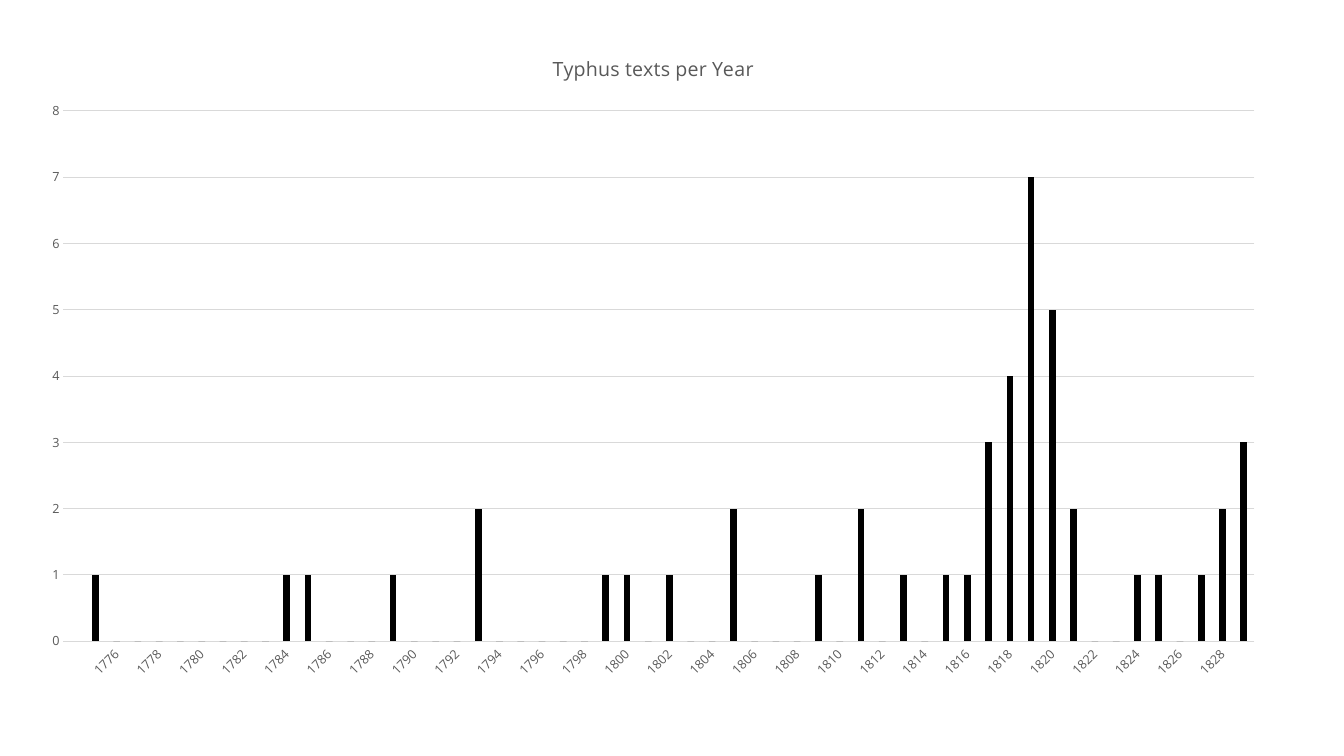
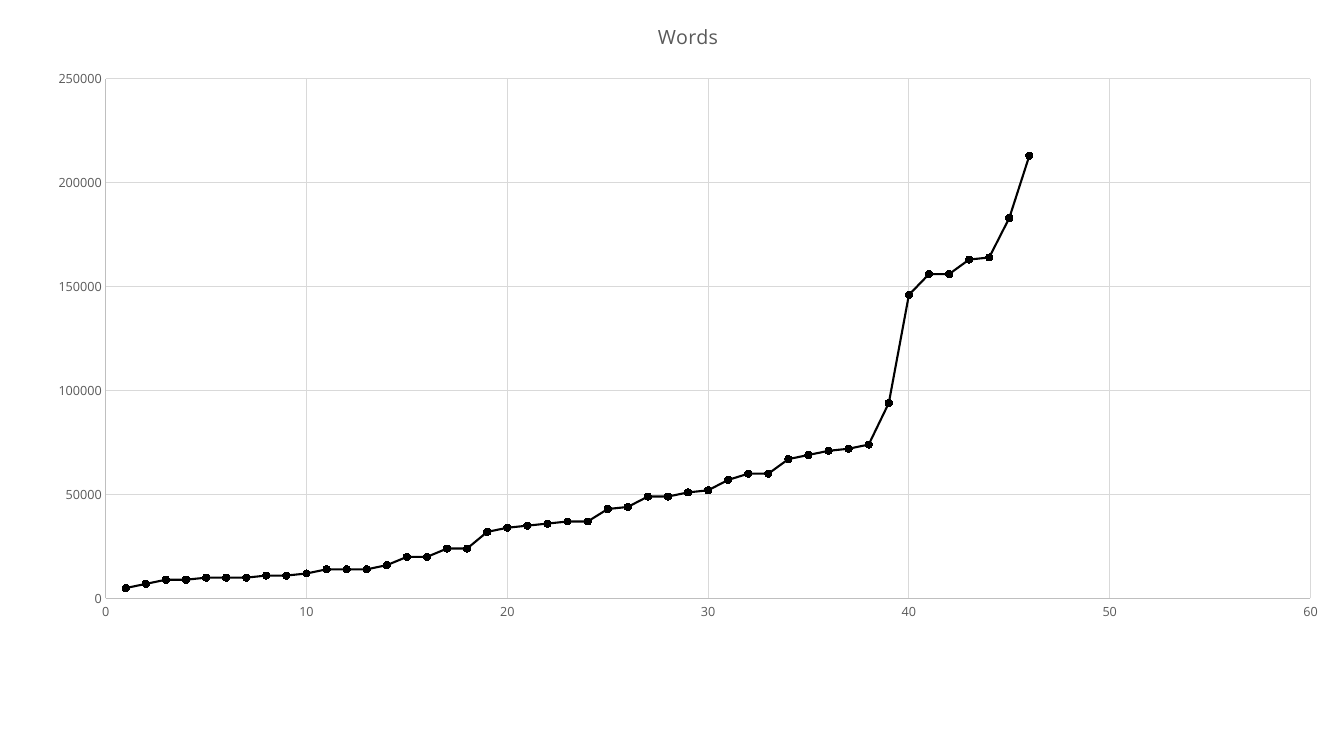
import pptx
import pptx.chart.data
import pptx.dml.color
import pptx.enum.chart
import pptx.util
from pptx.util import Inches

FONT = "Open Sans"
COLORS = {"data": "000000", "text": "595959", "grid": "D9D9D9", "axis": "BFBFBF"}

FIRST_YEAR, LAST_YEAR = 1775, 1829
TEXTS_BY_YEAR = {
    1775: 1, 1784: 1, 1785: 1, 1789: 1, 1793: 2, 1799: 1, 1800: 1, 1802: 1,
    1805: 2, 1809: 1, 1811: 2, 1813: 1, 1815: 1, 1816: 1, 1817: 3, 1818: 4,
    1819: 7, 1820: 5, 1821: 2, 1824: 1, 1825: 1, 1827: 1, 1828: 2, 1829: 3,
}
WORDS_IN_THOUSANDS = [
    5, 7, 9, 9, 10, 10, 10, 11, 11, 12, 14, 14, 14, 16, 20, 20,
    24, 24, 32, 34, 35, 36, 37, 37, 43, 44, 49, 49, 51, 52, 57, 60,
    60, 67, 69, 71, 72, 74, 94, 146, 156, 156, 163, 164, 183, 213,
]


def rgb(name):
    return pptx.dml.color.RGBColor.from_string(COLORS[name])


def style_font(font, size, color="text"):
    font.name = FONT
    font.size = pptx.util.Pt(size)
    font.bold = False
    font.color.rgb = rgb(color)


def style_line(line, color, width=0.75):
    """Draw the line in a named colour, or hide it when color is None."""
    if color is None:
        line.fill.background()
    else:
        line.color.rgb = rgb(color)
        line.width = pptx.util.Pt(width)


def fill_solid(fill):
    fill.solid()
    fill.fore_color.rgb = rgb("data")


def style_axis(axis, line, grid=True):
    no_tick = pptx.enum.chart.XL_TICK_MARK.NONE
    axis.major_tick_mark = axis.minor_tick_mark = no_tick
    style_font(axis.tick_labels.font, 9)
    style_line(axis.format.line, line)
    axis.has_major_gridlines = grid
    if grid:
        style_line(axis.major_gridlines.format.line, "grid")


def scale_axis(axis, maximum, step):
    axis.minimum_scale = 0
    axis.maximum_scale = maximum
    axis.major_unit = step


def slant_labels(axis, degrees):
    body = axis.tick_labels.font and axis._element.txPr.bodyPr
    body.set("rot", str(degrees * 60000))
    body.set("vert", "horz")


def add_chart_slide(prs, kind, box, data, title):
    s = prs.slides.add_slide(prs.slide_layouts[6])
    chart = s.shapes.add_chart(kind, *map(Inches, box), data).chart
    style_font(chart.font, 10, "data")
    chart.has_legend = False
    chart.has_title = True
    tf = chart.chart_title.text_frame
    tf.text = title
    style_font(tf.paragraphs[0].runs[0].font, 14)
    chart.chart_title.include_in_layout = False
    return chart


def add_texts_per_year(prs):
    years = range(FIRST_YEAR, LAST_YEAR + 1)
    data = pptx.chart.data.CategoryChartData()
    data.categories = [""] + [str(year) for year in years]
    data.add_series("Series 1", [None] + [TEXTS_BY_YEAR.get(year, 0) for year in years])
    chart = add_chart_slide(prs, pptx.enum.chart.XL_CHART_TYPE.COLUMN_CLUSTERED,
                            (0.27, 0.31, 12.42, 6.55), data, "Typhus texts per Year")
    style_axis(chart.category_axis, "grid", grid=False)
    slant_labels(chart.category_axis, -45)
    style_axis(chart.value_axis, None)
    scale_axis(chart.value_axis, 8, 1)
    plot = chart.plots[0]
    plot.vary_by_categories = False
    plot.gap_width = 219
    plot.overlap = -27
    fill_solid(plot.series[0].format.fill)


def add_words(prs):
    data = pptx.chart.data.XyChartData()
    points = data.add_series("Words")
    for rank, thousands in enumerate(WORDS_IN_THOUSANDS, 1):
        points.add_data_point(rank, thousands * 1000)
    chart = add_chart_slide(prs, pptx.enum.chart.XL_CHART_TYPE.XY_SCATTER_LINES,
                            (0.32, 0, 13.01, 6.28), data, "Words")
    for axis, maximum, step in ((chart.category_axis, 60, 10),
                                (chart.value_axis, 250000, 50000)):
        style_axis(axis, "axis")
        scale_axis(axis, maximum, step)
    chart.plots[0].vary_by_categories = False
    series = chart.plots[0].series[0]
    series.smooth = False
    style_line(series.format.line, "data", 1.5)
    series.marker.style = pptx.enum.chart.XL_MARKER_STYLE.CIRCLE
    series.marker.size = 5
    fill_solid(series.marker.format.fill)
    style_line(series.marker.format.line, "data")


def main():
    prs = pptx.Presentation()
    prs.slide_width, prs.slide_height = Inches(13.33), Inches(7.5)
    add_texts_per_year(prs)
    add_words(prs)
    prs.save("out.pptx")


if __name__ == "__main__":
    main()
